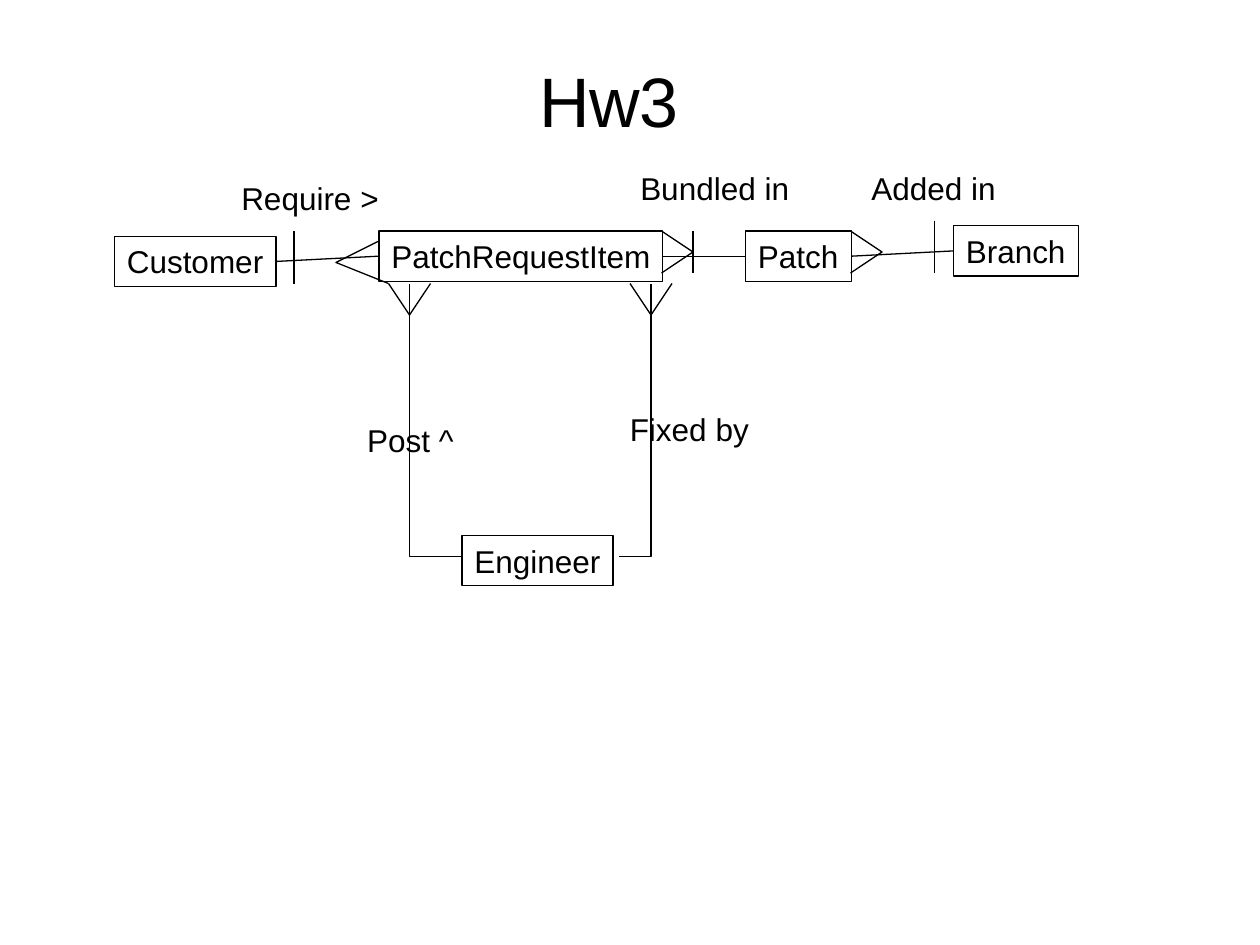
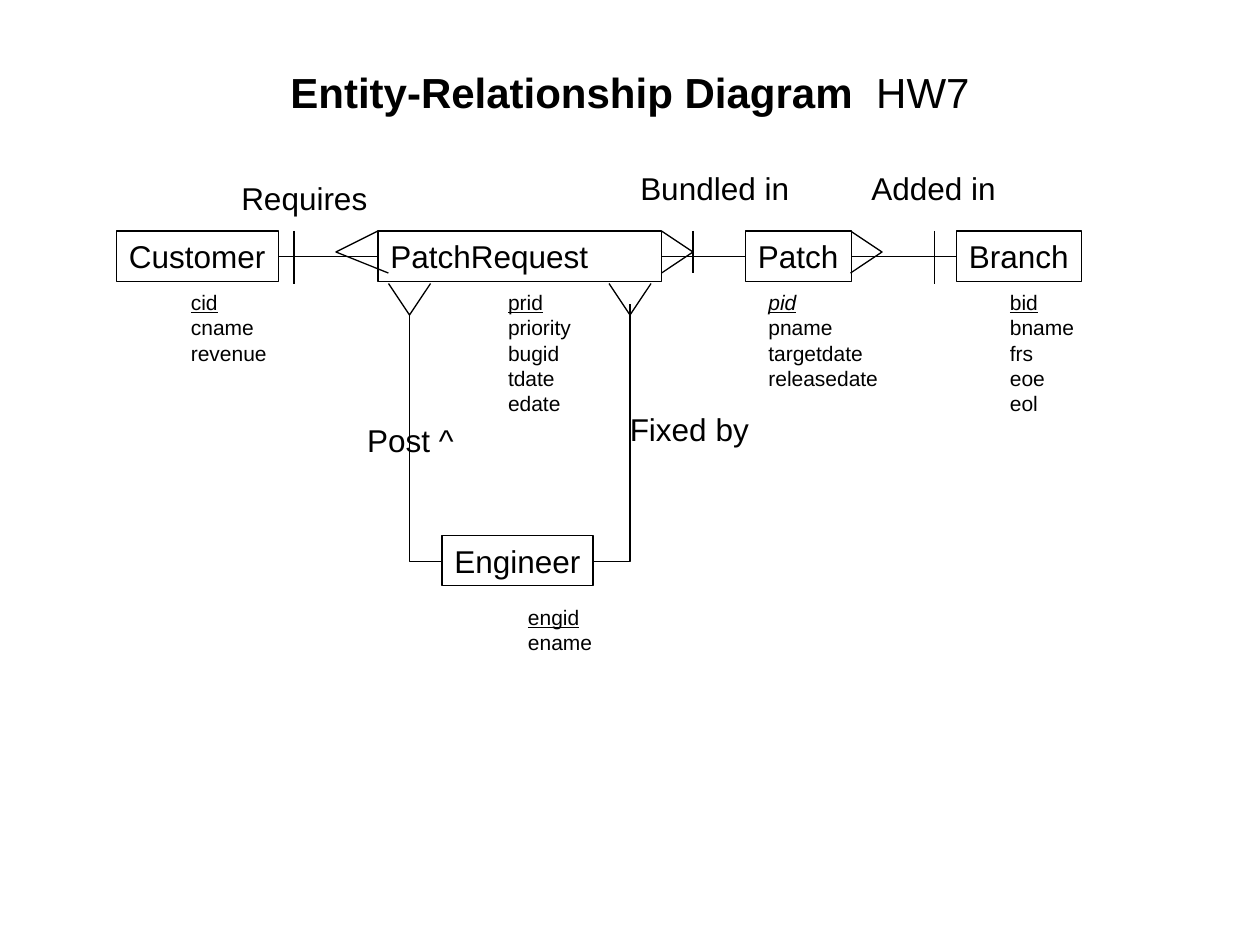
from lxml import etree
from pptx import Presentation, util as u
from pptx.dml.color import RGBColor
from pptx.enum import shapes, text
from pptx.oxml.ns import qn

# Shared style and a grid of 120 columns by 90 rows
ink = {"line": "000000", "text": "000000"}
face = "Arial"
deck = Presentation()
deck.slide_width, deck.slide_height = u.Inches(10), u.Inches(7.5)
cell = deck.slide_width // 120
row = 4.8  # height of a box or label


def pen(item):
    """Give a line, outline or box the common thin stroke and no shadow."""
    item.line.color.rgb = RGBColor.from_string(ink["line"])
    item.line.width = u.Pt(0.75)
    if hasattr(item, "fill"):
        item.fill.background()
        item.shadow.inherit = False
    else:
        etree.SubElement(item.element.spPr, qn("a:effectLst"))


def write(item, words, size, wrap=False):
    """Fill a box with one paragraph per line of words."""
    frame = item.text_frame
    frame.text = words
    frame.word_wrap = wrap
    frame.vertical_anchor = text.MSO_ANCHOR.TOP
    for para in frame.paragraphs:
        para.alignment = text.PP_ALIGN.LEFT
        para.font.size = u.Pt(size)
        para.font.name = face
        para.font.color.rgb = RGBColor.from_string(ink["text"])
    return frame


# Parts found on both slides
labels = [
    ("Post ^", 33.8, 39.5, 11.5), ("Fixed by", 58.8, 38.5, 14.5),
    ("Bundled in", 59.8, 15.5, 17.5), ("Added in", 81.8, 15.5, 15),
]
feet = [
    [(37, 27), (39, 30), (41, 27)],
    [(63, 22), (66, 24), (63, 26)],
    [(81, 22), (84, 24), (81, 26)],
]
ticks = [(28, 22, 27), (66, 22, 26)]

# What differs: boxes are name, left, top, width
views = [
    {
        "title": [("Hw3", False)], "size": 40, "area": (7, 6, 102, 7), "foot": 0.05,
        "boxes": [("Customer", 10.9, 22.5, 15.4), ("PatchRequestItem", 36.1, 22, 27),
                  ("Patch", 71, 22, 10.1), ("Branch", 90.8, 21.5, 11.9),
                  ("Engineer", 44, 51, 14.4)],
        "label": ("Require >", 21.8, 16.5, 16),
        "feet": [[(60, 27), (62, 30), (64, 27)], [(36, 23), (32, 25), (37, 27)],
                 [(44, 53), (39, 53), (39, 27)], [(59, 53), (62, 53), (62, 27)]],
        "tick": (89, 21, 26), "bends": [], "lists": [],
    },
    {
        "title": [("Entity-Relationship Diagram  ", True), ("HW7", False)],
        "size": 24, "area": (6, 3.6, 108, 15), "foot": 0.44,
        "boxes": [("Customer", 11.1, 22, 15.4), ("PatchRequest", 36, 22, 27),
                  ("Patch", 71, 22, 10.1), ("Branch", 91.1, 22, 11.9),
                  ("Engineer", 42.1, 51, 14.4)],
        "label": ("Requires", 21.8, 16.5, 15),
        "feet": [[(58, 27), (60, 30), (62, 27)], [(36, 22), (32, 24), (37, 26)]],
        "tick": (89, 22, 27),
        "bends": [(56.5, 53.5, 60, 29), (42, 53.5, 39, 30)],
        "lists": [("cid cname revenue", 17, 27, 10.5),
                  ("prid priority bugid tdate edate", 47.2, 27, 9.5),
                  ("engid ename", 49.1, 57, 9.5),
                  ("pid pname targetdate releasedate", 72, 27, 14),
                  ("bid bname frs eoe eol", 95, 27, 9.5)],
    },
]

for view in views:
    slide = deck.slides.add_slide(deck.slide_layouts[6])
    pool = slide.shapes

    # Title
    area = [int(n * cell) for n in view["area"]]
    frame = write(pool.add_textbox(*area), "", view["size"], True)
    frame.vertical_anchor = text.MSO_ANCHOR.MIDDLE
    frame.margin_bottom = u.Inches(view["foot"])
    head = frame.paragraphs[0]
    head.alignment = text.PP_ALIGN.CENTER
    for words, bold in view["title"]:
        run = head.add_run()
        run.text = words
        run.font.bold = bold

    # Entity boxes
    boxes = []
    for name, *spot in view["boxes"]:
        box = pool.add_shape(shapes.MSO_SHAPE.RECTANGLE,
                             *[int(n * cell) for n in (*spot, row)])
        pen(box)
        write(box, name, 18, name == "PatchRequest")
        boxes.append(box)

    # Links along the top row of entities
    for left, right in zip(boxes[:3], boxes[1:4]):
        link = pool.add_connector(shapes.MSO_CONNECTOR.STRAIGHT, 0, 0, 0, 0)
        link.begin_connect(left, 3)
        link.end_connect(right, 1)
        pen(link)

    # Crow's feet and bent links
    for first, *rest in feet + view["feet"]:
        build = pool.build_freeform(*first, scale=cell)
        build.add_line_segments(rest, close=False)
        pen(build.convert_to_shape())
    for bend in view["bends"]:
        link = pool.add_connector(shapes.MSO_CONNECTOR.ELBOW,
                                  *[int(n * cell) for n in bend])
        link.element.spPr.find(qn("a:prstGeom")).set("prst", "bentConnector2")
        pen(link)

    # Ticks for the "one" ends
    for col, top, end in ticks + [view["tick"]]:
        pen(pool.add_connector(shapes.MSO_CONNECTOR.STRAIGHT,
                               col * cell, top * cell, col * cell, end * cell))

    # Relationship labels
    for words, *spot in [view["label"]] + labels:
        write(pool.add_textbox(*[int(n * cell) for n in (*spot, row)]),
              words, 18, True)

    # Attribute lists, key first
    for words, *spot in view["lists"]:
        names = words.split()
        tall = 1.2 + 2.4 * len(names)
        note = pool.add_textbox(*[int(n * cell) for n in (*spot, tall)])
        key = write(note, "\n".join(names), 12, True).paragraphs[0].runs[0]
        key.font.underline = True
        key.font.italic = names[0] == "pid"

deck.save("out.pptx")
